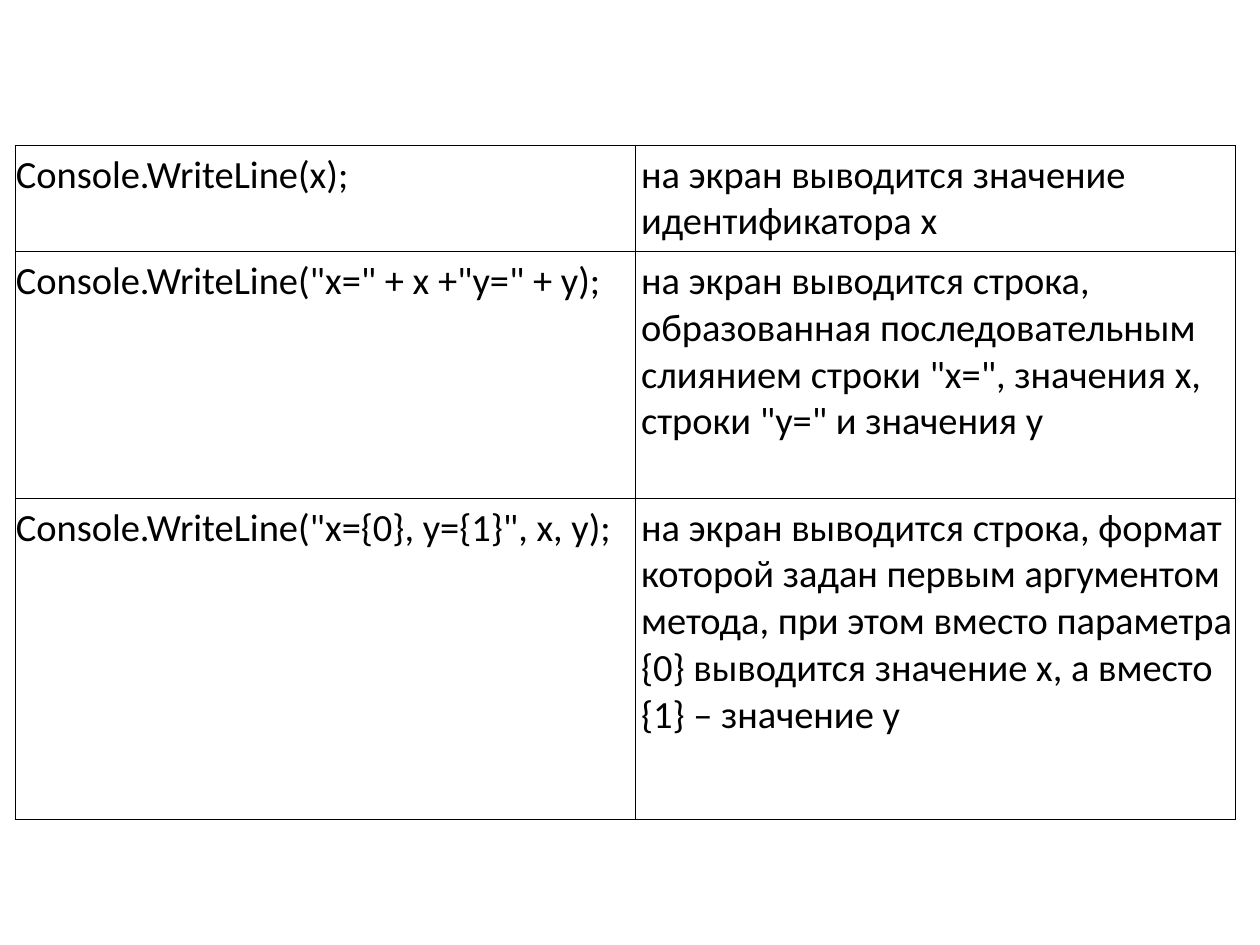
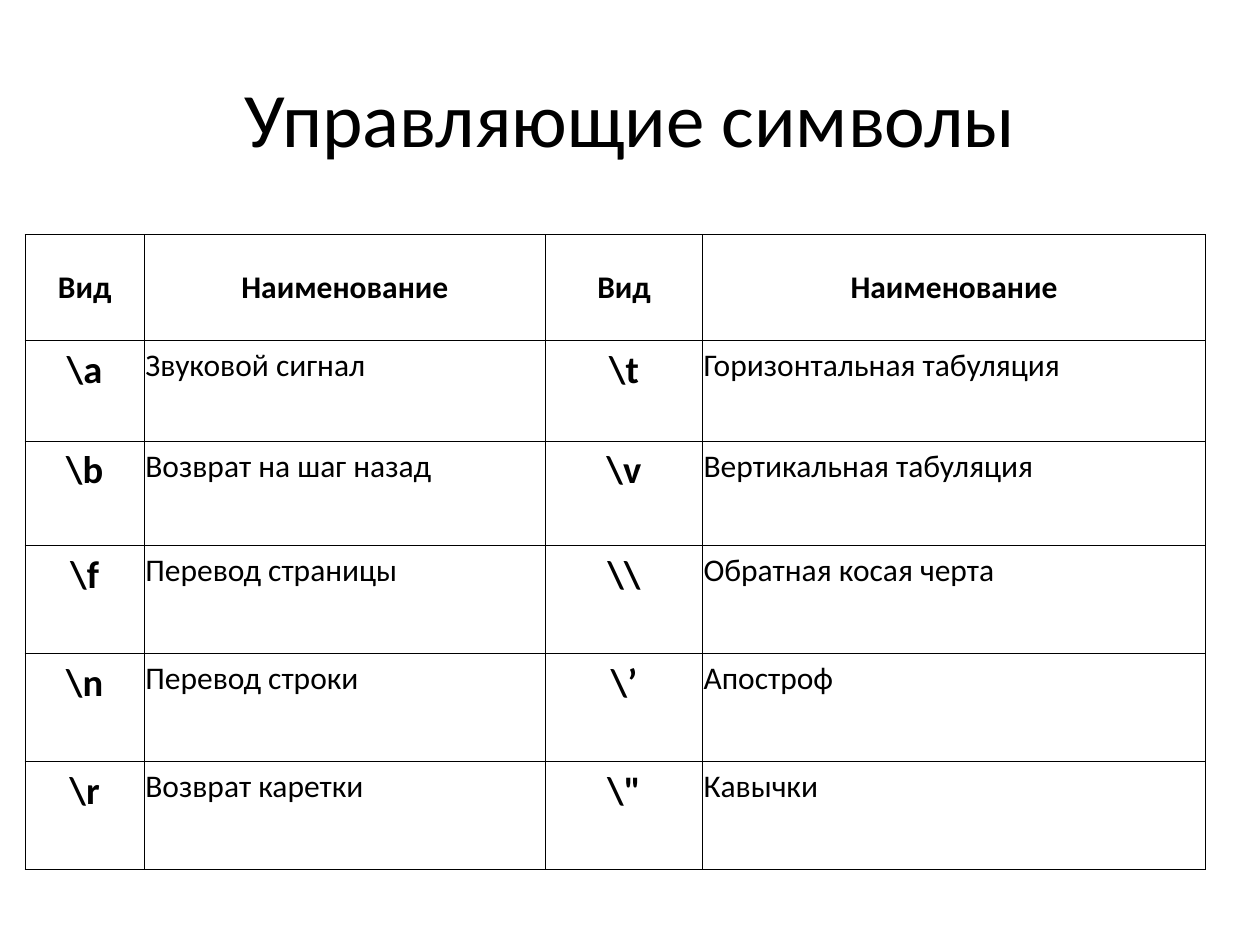
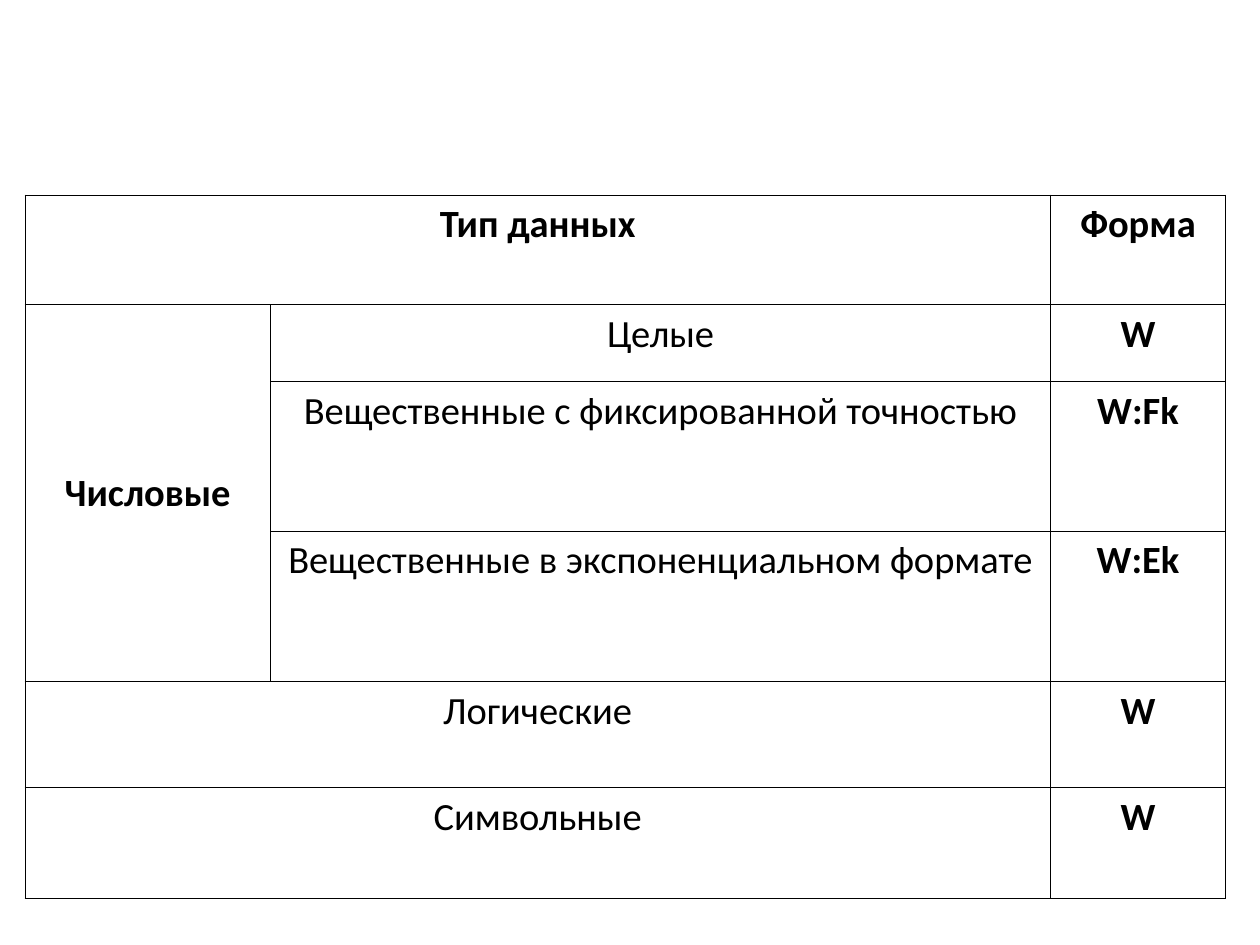
from lxml import etree
from pptx import Presentation
from pptx.dml.color import RGBColor
from pptx.enum import text
from pptx.oxml import ns
from pptx.util import Pt

COLOURS = {"text": "000000", "border": "000000"}
FONT = "Calibri"
TITLE_ONLY, BLANK = 5, 6
LEFT, CENTER = text.PP_ALIGN.LEFT, text.PP_ALIGN.CENTER
TOP, MIDDLE = text.MSO_ANCHOR.TOP, text.MSO_ANCHOR.MIDDLE


def style(size=22, bold=False, align=LEFT, anchor=TOP, indent=0):
    return dict(size=size, bold=bold, align=align, anchor=anchor, indent=indent)


class Deck:
    def __init__(self):
        self.presentation = Presentation()
        self.presentation.slide_width = Pt(720)
        self.presentation.slide_height = Pt(540)
        self.slide = None

    def add_slide(self, layout):
        layouts = self.presentation.slide_layouts
        self.slide = self.presentation.slides.add_slide(layouts[layout])

    def add_text(self, holder, content, look):
        """Fill a text frame or a table cell that holds one."""
        holder.vertical_anchor = look["anchor"]
        frame = getattr(holder, "text_frame", holder)
        paragraph = frame.paragraphs[0]
        paragraph.alignment = look["align"]
        if look["indent"]:
            properties = paragraph._p.get_or_add_pPr()
            properties.set("marL", str(Pt(look["indent"])))
            properties.set("indent", "0")
        run = paragraph.add_run()
        run.text = content
        run.font.name = FONT
        run.font.size = Pt(look["size"])
        run.font.bold = look["bold"]
        run.font.color.rgb = RGBColor.from_string(COLOURS["text"])

    def title(self, content):
        shape = self.slide.shapes.title
        shape.left, shape.top = Pt(36), Pt(21.6)
        shape.width, shape.height = Pt(648), Pt(90)
        shape.text_frame.word_wrap = True
        self.add_text(shape.text_frame, content,
                      style(44, align=CENTER, anchor=MIDDLE))

    def border(self, cell):
        properties = cell._tc.get_or_add_tcPr()
        for side in "LRTB":
            line = etree.SubElement(properties, ns.qn(f"a:ln{side}"), w=str(Pt(0.45)))
            fill = etree.SubElement(line, ns.qn("a:solidFill"))
            etree.SubElement(fill, ns.qn("a:srgbClr"), val=COLOURS["border"])

    def table(self, left, top, widths, heights, rows, look, merges=()):
        """Draw a table; look(row, column) gives the style of a cell."""
        table = self.slide.shapes.add_table(
            len(heights), len(widths), Pt(left), Pt(top),
            Pt(sum(widths)), Pt(sum(heights))).table
        table.first_row = table.horz_banding = False
        for column, width in zip(table.columns, widths):
            column.width = Pt(width)
        for row, height in zip(table.rows, heights):
            row.height = Pt(height)
        for first, last in merges:
            table.cell(*first).merge(table.cell(*last))
        for r, contents in enumerate(rows):
            for c, content in enumerate(contents):
                cell = table.cell(r, c)
                cell.margin_left = cell.margin_right = Pt(0.5)
                cell.margin_top = cell.margin_bottom = Pt(3.6)
                self.border(cell)
                cell.fill.background()
                if content:
                    self.add_text(cell, content, look(r, c))


def output_slide(deck):
    deck.add_slide(BLANK)
    rows = [
        ('Console.WriteLine(x);', 'на экран выводится значение идентификатора х'),
        ('Console.WriteLine("x=" + x +"y=" + y);',
         'на экран выводится строка, образованная последовательным слиянием '
         'строки "x=", значения x, строки "y=" и значения у'),
        ('Console.WriteLine("x={0}, y={1}", x, y);',
         'на экран выводится строка, формат которой задан первым аргументом '
         'метода, при этом вместо параметра {0} выводится значение x, '
         'а вместо {1} – значение у'),
    ]
    deck.table(8.6, 83, [354.3, 343], [60.6, 141, 183.6], rows,
               lambda row, column: style(indent=3 * column))


def escapes_slide(deck):
    deck.add_slide(TITLE_ONLY)
    deck.title("Управляющие символы")
    rows = [
        ("Вид", "Наименование") * 2,
        (r"\a", "Звуковой сигнал", r"\t", "Горизонтальная табуляция"),
        (r"\b", "Возврат на шаг назад", r"\v", "Вертикальная табуляция"),
        (r"\f", "Перевод страницы", r"\\", "Обратная косая черта"),
        (r"\n", "Перевод строки", r"\’", "Апостроф"),
        (r"\r", "Возврат каретки", r'\"', "Кавычки"),
    ]

    def look(row, column):
        if row == 0:
            return style(18, True, CENTER, MIDDLE)
        return style(18) if column % 2 else style(22, True, CENTER)

    deck.table(14.2, 134, [68.4, 229, 90, 287.3],
               [60.4, 57.6, 59.6] + [61.8] * 3, rows, look)


def formats_slide(deck):
    deck.add_slide(BLANK)
    rows = [
        ("Тип данных", None, "Форма"),
        ("Числовые", "Целые", "W"),
        (None, "Вещественные с фиксированной точностью", "W:Fk"),
        (None, "Вещественные в экспоненциальном формате", "W:Ek"),
        ("Логические", None, "W"),
        ("Символьные", None, "W"),
    ]
    numeric = (1, 0)

    def look(row, column):
        bold = row == 0 or column == 2 or (row, column) == numeric
        anchor = MIDDLE if (row, column) == numeric else TOP
        return style(22, bold, CENTER, anchor)

    wide = [((row, 0), (row, 1)) for row in (0, 4, 5)]
    deck.table(14.2, 111.4, [140.4, 445.7, 100], [62.6, 44.2, 85.2, 86, 60.8, 63.4],
               rows, look, wide + [(numeric, (3, 0))])


def main():
    deck = Deck()
    output_slide(deck)
    escapes_slide(deck)
    formats_slide(deck)
    deck.presentation.save("out.pptx")


if __name__ == "__main__":
    main()
